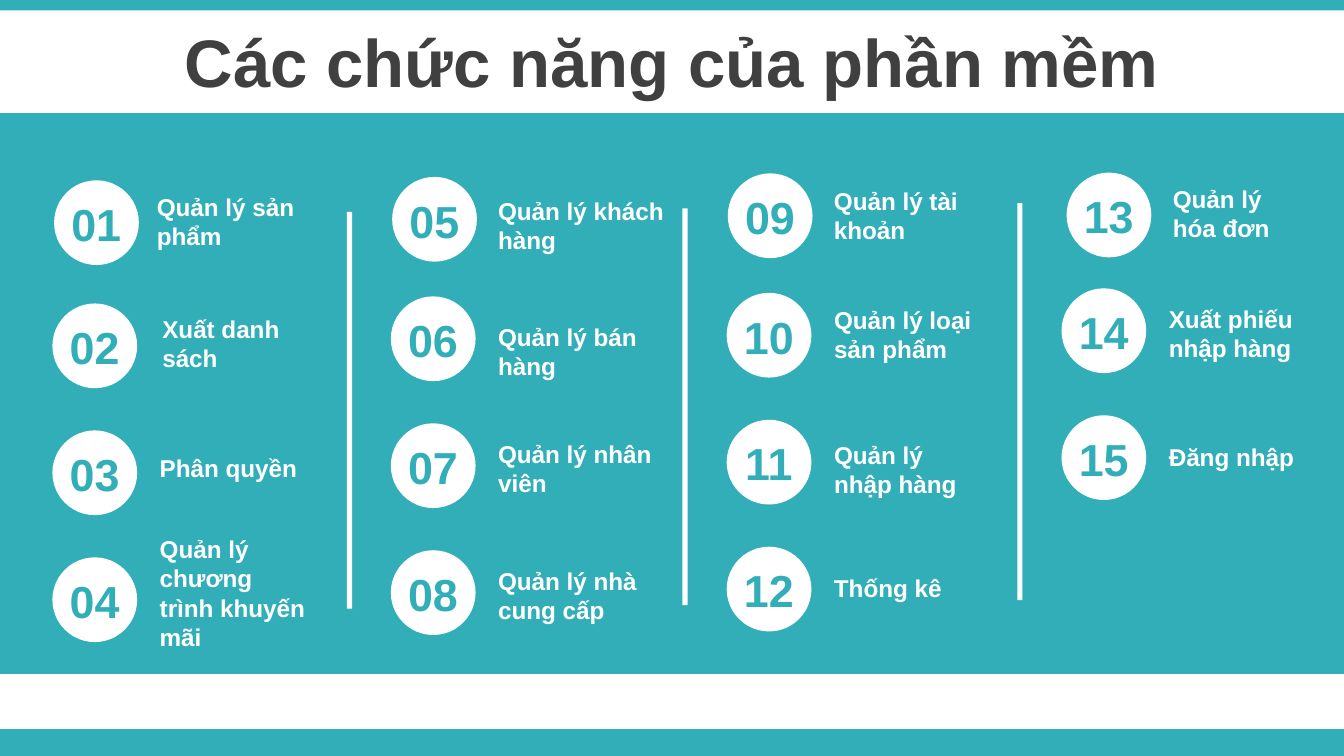
from dataclasses import dataclass

from pptx import Presentation
from pptx.dml.color import RGBColor
from pptx.enum.shapes import MSO_SHAPE as Shape
from pptx.enum.text import MSO_ANCHOR as Anchor, MSO_AUTO_SIZE as AutoSize, PP_ALIGN as Align
from pptx.util import Pt

TEAL = RGBColor(0x32, 0xAE, 0xB8)
WHITE = RGBColor(0xFF, 0xFF, 0xFF)
DARK_GRAY = RGBColor(0x40, 0x40, 0x40)
FONT = "Arial"

SLIDE_WIDTH, SLIDE_HEIGHT = 720, 405
BADGE_SIZE = 45.4
ROW_PITCH = 68
LABEL_LEFT = 50.4


@dataclass
class Item:
    """One function; label_top is measured from its badge, the nudges from the column."""
    label: str
    label_top: float
    label_width: float
    label_nudge: float = 0
    badge_nudge: float = 0


@dataclass
class Column:
    left: float
    top: float
    first_gap: float
    items: list
    divider_left: float = 0
    divider_top: float = 0


COLUMNS = [
    Column(28.1, 96.6, 66, [
        Item("Quản lý sản phẩm", 2.9, 100, -1.5, 0.9),
        Item("Xuất danh sách", 2.2, 98.6, 1.4),
        Item("Phân quyền", 8.6, 100),
        Item("Quản lý chương trình khuyến mãi", -15.8, 94.3),
    ], 157.7, 16.9),
    Column(209.4, 94.8, 64, [
        Item("Quản lý khách hàng", 6.7, 105, badge_nudge=0.7),
        Item("Quản lý bán hàng", 10.2, 105),
        Item("Quản lý nhân viên", 5, 105),
        Item("Quản lý nhà cung cấp", 5, 105),
    ], 156.2, 16.8),
    Column(389.3, 92.9, 64, [
        Item("Quản lý tài khoản", 3.4, 84.2, badge_nudge=0.6),
        Item("Quản lý loại sản phẩm", 3, 90),
        Item("Quản lý nhập hàng", 7.2, 90),
        Item("Thống kê", 10.8, 105),
    ], 155.7, 16),
    Column(568.7, 92.5, 62, [
        Item("Quản lý hóa đơn", 2.4, 84.2, 2.2, 2.7),
        Item("Xuất phiếu nhập hàng", 5, 90),
        Item("Đăng nhập", 10.8, 105),
    ]),
]


def add_filled(shapes, kind, left, top, width, height, color):
    shape = shapes.add_shape(kind, Pt(left), Pt(top), Pt(width), Pt(height))
    shape.shadow.inherit = False
    shape.fill.solid()
    shape.fill.fore_color.rgb = color
    shape.line.fill.background()
    return shape


def format_text(text_frame, size, color, align):
    paragraph = text_frame.paragraphs[0]
    paragraph.alignment = align
    font = paragraph.runs[0].font
    font.name, font.size, font.bold = FONT, Pt(size), True
    font.color.rgb = color


def add_text(shapes, text, left, top, width, height, size, color, align):
    box = shapes.add_textbox(Pt(left), Pt(top), Pt(width), Pt(height))
    text_frame = box.text_frame
    text_frame.text = text
    text_frame.word_wrap = True
    text_frame.auto_size = AutoSize.SHAPE_TO_FIT_TEXT
    format_text(text_frame, size, color, align)


def add_title(slide, left, top, width, height):
    title = slide.shapes.title
    title.left, title.top = Pt(left), Pt(top)
    title.width, title.height = Pt(width), Pt(height)
    text_frame = title.text_frame
    text_frame.text = "Các chức năng của phần mềm"
    text_frame.auto_size = AutoSize.NONE
    text_frame.vertical_anchor = Anchor.MIDDLE
    format_text(text_frame, 36, DARK_GRAY, Align.CENTER)


def add_bands(slide, width, height):
    """Draw the top and bottom edges and the panel behind the columns."""
    for top, band_height in ((height - 14.4, 14.4), (0, 5.6), (60.6, 300.4)):
        add_filled(slide.shapes, Shape.RECTANGLE, 0, top, width, band_height, TEAL)


def add_badge(slide, number, left, top):
    group = slide.shapes.add_group_shape()
    add_filled(group.shapes, Shape.OVAL, left, top, BADGE_SIZE, BADGE_SIZE, WHITE)
    add_text(group.shapes, f"{number:02d}", left - 2.6, top + 5.2, 50.4, 36.3,
             24, TEAL, Align.CENTER)


def add_column(slide, column, first_number):
    for row, item in enumerate(column.items):
        top = column.top
        if row > 0:
            top += column.first_gap + (row - 1) * ROW_PITCH
        add_badge(slide, first_number + row, column.left + item.badge_nudge, top)
        add_text(slide.shapes, item.label, column.left + LABEL_LEFT + item.label_nudge,
                 top + item.label_top, item.label_width, 23, 13, WHITE, Align.LEFT)
    if column.divider_left:
        add_filled(slide.shapes, Shape.RECTANGLE, column.left + column.divider_left,
                   column.top + column.divider_top, 2.8, 212.6, WHITE)


def main():
    presentation = Presentation()
    presentation.slide_width = Pt(SLIDE_WIDTH)
    presentation.slide_height = Pt(SLIDE_HEIGHT)
    slide = presentation.slides.add_slide(presentation.slide_layouts[5])
    add_bands(slide, SLIDE_WIDTH, SLIDE_HEIGHT)
    add_title(slide, 0, 10, SLIDE_WIDTH, 45.4)
    number = 1
    for column in COLUMNS:
        add_column(slide, column, number)
        number += len(column.items)
    presentation.save("out.pptx")


if __name__ == "__main__":
    main()
